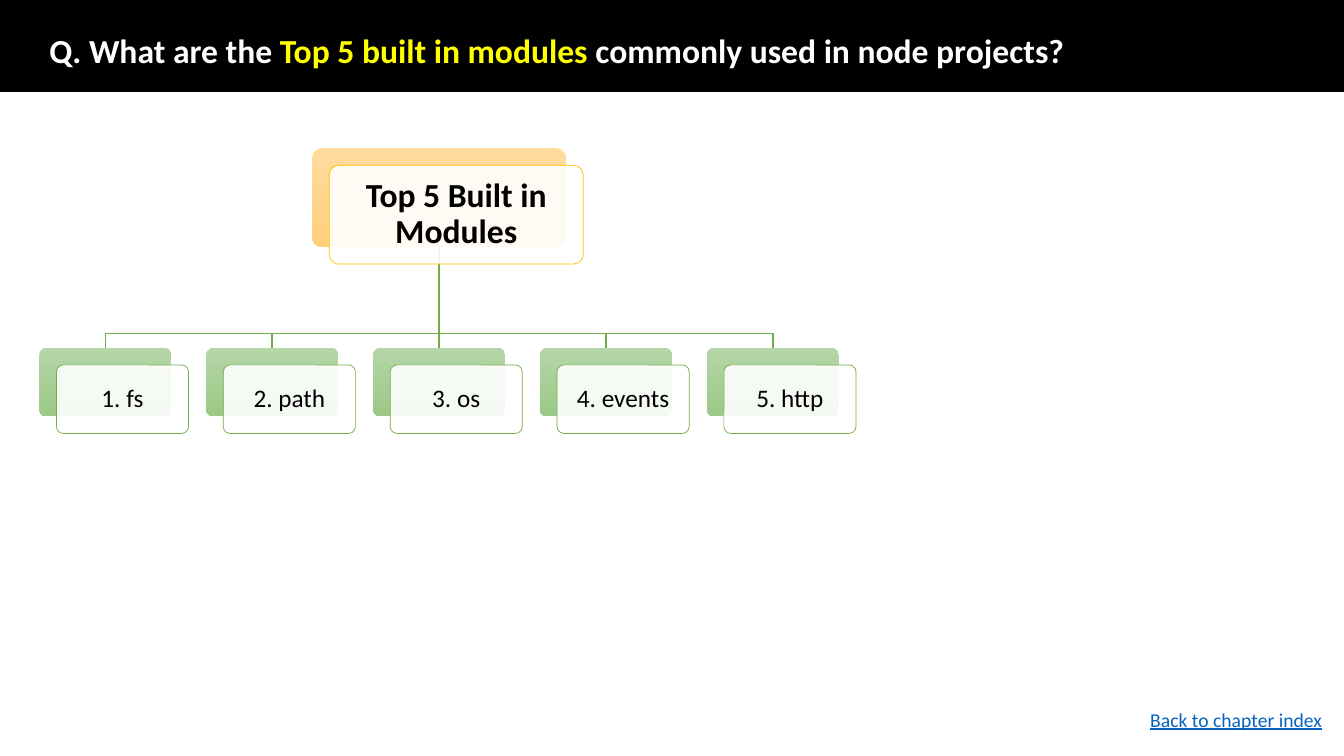
from dataclasses import dataclass

from lxml import etree
from pptx import Presentation
from pptx.dml.color import RGBColor
from pptx.enum.shapes import MSO_CONNECTOR, MSO_SHAPE
from pptx.enum.text import MSO_ANCHOR, MSO_AUTO_SIZE, PP_ALIGN
from pptx.oxml.ns import qn
from pptx.util import Inches, Pt

RECTANGLE = MSO_SHAPE.RECTANGLE
ROUNDED = MSO_SHAPE.ROUNDED_RECTANGLE
STRAIGHT = MSO_CONNECTOR.STRAIGHT
MIDDLE = MSO_ANCHOR.MIDDLE
NO_AUTOFIT = MSO_AUTO_SIZE.NONE
LEFT = PP_ALIGN.LEFT
CENTER = PP_ALIGN.CENTER
TOP_SIDE, BOTTOM_SIDE = 0, 2


@dataclass(frozen=True)
class Theme:
    font: str = "Calibri"
    black: str = "000000"
    white: str = "FFFFFF"
    highlight: str = "FFFF00"
    link: str = "0563C1"
    gold: str = "FFC000"
    green: str = "70AD47"
    gold_shade: tuple = ("FFDB9E", "FFD07C")
    green_shade: tuple = ("B5D5A7", "9CC987")
    heading_size: int = 24
    module_size: int = 18
    link_size: int = 14


THEME = Theme()
MODULES = ["1. fs", "2. path", "3. os", "4. events", "5. http"]


def color(value):
    return RGBColor.from_string(value)


def style_span(span, size, value, bold=False):
    span.font.name = THEME.font
    span.font.size = Pt(size)
    span.font.bold = bold
    span.font.color.rgb = color(value)


def style_line(shape, value, width):
    shape.line.color.rgb = color(value)
    shape.line.width = Pt(width)


def add_box(page, kind, left, top, width, height):
    box = page.shapes.add_shape(
        kind, Inches(left), Inches(top), Inches(width), Inches(height))
    box.shadow.inherit = False
    return box


def add_header(page, left, top, width, height):
    bar = add_box(page, RECTANGLE, left, top, width, height)
    bar.fill.solid()
    bar.fill.fore_color.rgb = color(THEME.black)
    style_line(bar, THEME.black, 1)

    title = page.shapes.title
    title.element.addprevious(bar.element)
    title.left, title.top = Inches(left + 0.39), Inches(top + 0.35)
    title.width, title.height = Inches(11.5), Inches(0.35)
    frame = title.text_frame
    frame.word_wrap = True
    frame.auto_size = NO_AUTOFIT
    frame.vertical_anchor = MIDDLE
    para = frame.paragraphs[0]
    para.alignment = LEFT
    para.line_spacing = 0.9
    for words, value in (
            ("Q. What are the ", THEME.white),
            ("Top 5 built in modules", THEME.highlight),
            (" commonly used in node projects?", THEME.white)):
        span = para.add_run()
        span.text = words
        style_span(span, THEME.heading_size, value, bold=True)


def add_card_back(page, left, top, width, height, shade):
    back = add_box(page, ROUNDED, left, top, width, height)
    back.adjustments[0] = 0.1
    back.fill.gradient()
    back.fill.gradient_angle = 270
    for stop, value in zip(back.fill.gradient_stops, shade):
        stop.color.rgb = color(value)
    back.line.fill.background()
    return back


def add_card_front(page, back, words, size, edge, inset, bold=False):
    shift = Inches(0.17)
    front = page.shapes.add_shape(
        ROUNDED, back.left + shift, back.top + shift, back.width, back.height)
    front.shadow.inherit = False
    front.adjustments[0] = 0.1
    front.fill.solid()
    front.fill.fore_color.rgb = color(THEME.white)
    tint = front.element.spPr.find(qn("a:solidFill"))[0]
    etree.SubElement(tint, qn("a:alpha")).set("val", "90000")
    style_line(front, edge, 0.5)

    frame = front.text_frame
    frame.word_wrap = True
    frame.vertical_anchor = MIDDLE
    frame.margin_left = frame.margin_right = Inches(inset)
    frame.margin_top = frame.margin_bottom = Inches(inset)
    frame.text = words
    para = frame.paragraphs[0]
    para.alignment = CENTER
    para.line_spacing = 0.9
    style_span(para.runs[0], size, THEME.black, bold)


def add_branch(page, root, child):
    start_x = root.left + root.width // 2
    start_y = root.top + root.height
    end_x = child.left + child.width // 2
    if abs(end_x - start_x) < Inches(0.01):
        branch = page.shapes.add_connector(
            STRAIGHT, start_x, start_y, end_x, child.top)
        branch.begin_connect(root, BOTTOM_SIDE)
        branch.end_connect(child, TOP_SIDE)
        etree.SubElement(branch.element.spPr, qn("a:effectLst"))
    else:
        bend_y = child.top - Inches(0.14)
        builder = page.shapes.build_freeform(start_x, start_y)
        builder.add_line_segments(
            [(start_x, bend_y), (end_x, bend_y), (end_x, child.top)],
            close=False)
        branch = builder.convert_to_shape()
        branch.shadow.inherit = False
        branch.fill.background()
    style_line(branch, THEME.green, 1)


def add_module_tree(page, left, top, width):
    root_width, child_width = 2.52, 1.31
    step = (width - child_width) / (len(MODULES) - 1)
    root = add_card_back(page, left + (width - root_width) / 2, top,
                         root_width, 0.98, THEME.gold_shade)
    children = [
        add_card_back(page, left + index * step, top + 1.98,
                      child_width, 0.68, THEME.green_shade)
        for index in range(len(MODULES))]
    for child in children:
        add_branch(page, root, child)
    add_card_front(page, root, "Top 5 Built in Modules",
                   THEME.heading_size, THEME.gold, 0.12, bold=True)
    for child, name in zip(children, MODULES):
        add_card_front(page, child, name, THEME.module_size, THEME.green, 0.09)


def add_back_label(page, left, top, width, height):
    box = page.shapes.add_textbox(
        Inches(left), Inches(top), Inches(width), Inches(height))
    frame = box.text_frame
    frame.word_wrap = True
    frame.text = "Back to chapter index"
    span = frame.paragraphs[0].runs[0]
    style_span(span, THEME.link_size, THEME.link)
    span.font.underline = True


def main():
    deck = Presentation()
    deck.slide_width, deck.slide_height = Inches(13.33), Inches(7.5)
    page = deck.slides.add_slide(deck.slide_layouts[5])
    add_header(page, 0, 0, 13.33, 0.91)
    add_module_tree(page, 0.39, 1.47, 7.93)
    add_back_label(page, 11.31, 6.97, 2.02, 0.34)
    deck.save("out.pptx")


if __name__ == "__main__":
    main()
